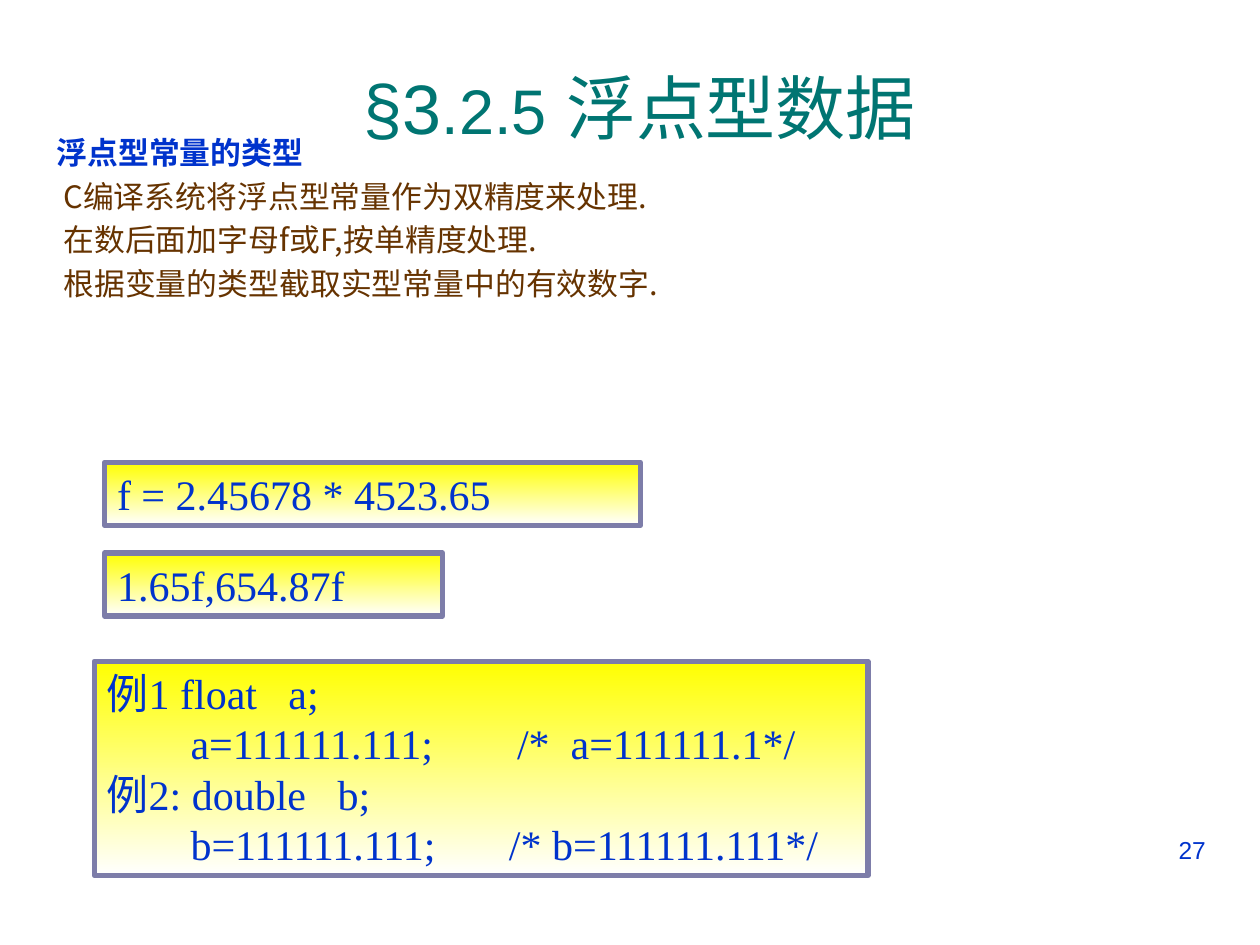
from lxml.etree import SubElement
from pptx import Presentation
from pptx.dml.color import RGBColor
from pptx.enum.shapes import MSO_SHAPE
from pptx.enum.text import MSO_ANCHOR, MSO_AUTO_SIZE, PP_ALIGN
from pptx.oxml.ns import qn
from pptx.util import Cm, Pt

BLUE = "0033CC"
BROWN = "663300"
TEAL = "007572"
CJK_FONT = "Noto Sans CJK SC"


def color(value):
    return RGBColor.from_string(value)


def add_text(paragraph, text, size=24, font="Arial", fill=BLUE, bold=False):
    run = paragraph.add_run()
    run.text = text
    run.font.size = Pt(size)
    run.font.name = font
    run.font.bold = bold
    run.font.color.rgb = color(fill)
    SubElement(run.font._element, qn("a:ea"), typeface=CJK_FONT)


def next_paragraph(frame, index):
    return frame.add_paragraph() if index else frame.paragraphs[0]


def add_title(slide, parts):
    title = slide.shapes.title
    title.left, title.top, title.width, title.height = Cm(0), Cm(1.12), Cm(25.4), Cm(2.06)
    frame = title.text_frame
    frame.auto_size = MSO_AUTO_SIZE.NONE
    frame.vertical_anchor = MSO_ANCHOR.MIDDLE
    frame.margin_left = Cm(0.65)
    paragraph = frame.paragraphs[0]
    paragraph.alignment = PP_ALIGN.CENTER
    for text, size in parts:
        add_text(paragraph, text, size=size, fill=TEAL)


def add_text_box(slide, left, top, width, height):
    frame = slide.shapes.add_textbox(Cm(left), Cm(top), Cm(width), Cm(height)).text_frame
    frame.word_wrap = True
    return frame


def add_body(slide, heading, points):
    frame = add_text_box(slide, 0.89, 2.72, 23.6, 6.4)
    for index, text in enumerate([heading, *points]):
        paragraph = next_paragraph(frame, index)
        paragraph.line_spacing = 0.8
        if index:
            paragraph.space_before = Pt(8)
            properties = paragraph._p.get_or_add_pPr()
            properties.set("marL", str(Cm(0.97)))
            properties.set("indent", str(Cm(-0.83)))
            add_text(paragraph, text, size=17.6, font=CJK_FONT, fill=BROWN)
        else:
            add_text(paragraph, text, size=17.6, bold=True)


def add_code_box(slide, left, top, width, height, lines):
    shape = slide.shapes.add_shape(
        MSO_SHAPE.RECTANGLE, Cm(left), Cm(top), Cm(width), Cm(height))
    shape.shadow.inherit = False
    shape.fill.gradient()
    shape.fill.gradient_angle = 270
    for stop, position, value in zip(shape.fill.gradient_stops, (0, 1), ("FFFF00", "FFFFFF")):
        stop.position = position
        stop.color.rgb = color(value)
    shape.line.color.rgb = color("7D7DA9")
    shape.line.width = Pt(3)
    frame = shape.text_frame
    frame.word_wrap = True
    frame.vertical_anchor = MSO_ANCHOR.TOP
    for index, text in enumerate(lines):
        paragraph = next_paragraph(frame, index)
        paragraph.alignment = PP_ALIGN.LEFT
        add_text(paragraph, text, font="Times New Roman")


def add_page_number(slide, number):
    paragraph = add_text_box(slide, 18.21, 16.71, 6.35, 1.32).paragraphs[0]
    paragraph.alignment = PP_ALIGN.RIGHT
    add_text(paragraph, number, size=14)


def main():
    presentation = Presentation()
    presentation.slide_width = Cm(25.4)
    presentation.slide_height = Cm(19.05)
    slide = presentation.slides.add_slide(presentation.slide_layouts[5])
    add_page_number(slide, "27")
    add_title(slide, [("§3", 40), (".2.5", 36), (" 浮点型数据", 40)])
    add_body(slide, "浮点型常量的类型", [
        "C编译系统将浮点型常量作为双精度来处理.",
        "在数后面加字母f或F,按单精度处理.",
        "根据变量的类型截取实型常量中的有效数字.",
    ])
    add_code_box(slide, 2.11, 11.15, 6.81, 1.27, ["1.65f,654.87f"])
    add_code_box(slide, 1.9, 13.33, 15.6, 4.32, [
        "例1 float   a;",
        "        a=111111.111;        /*  a=111111.1*/",
        "例2: double   b;",
        "        b=111111.111;       /* b=111111.111*/",
    ])
    add_code_box(slide, 2.11, 9.32, 10.8, 1.27, ["f = 2.45678 * 4523.65"])
    presentation.save("out.pptx")


if __name__ == "__main__":
    main()
